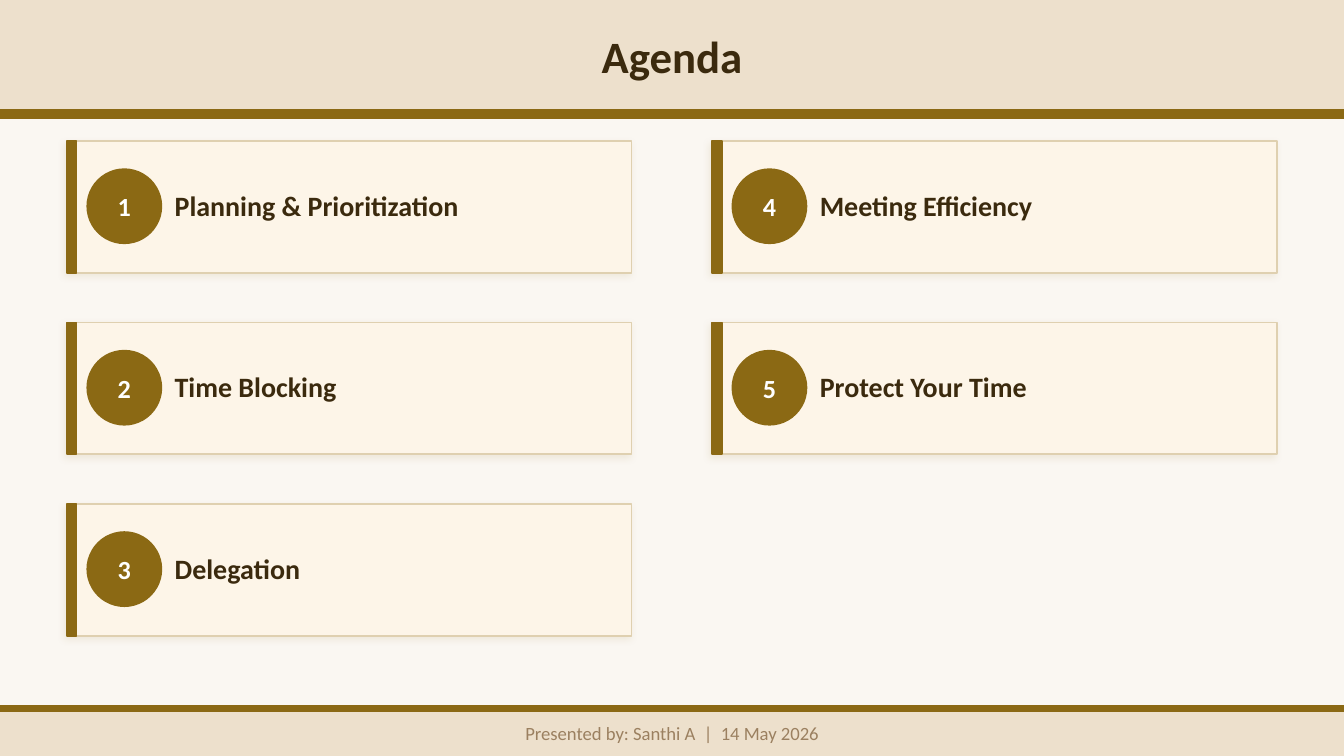
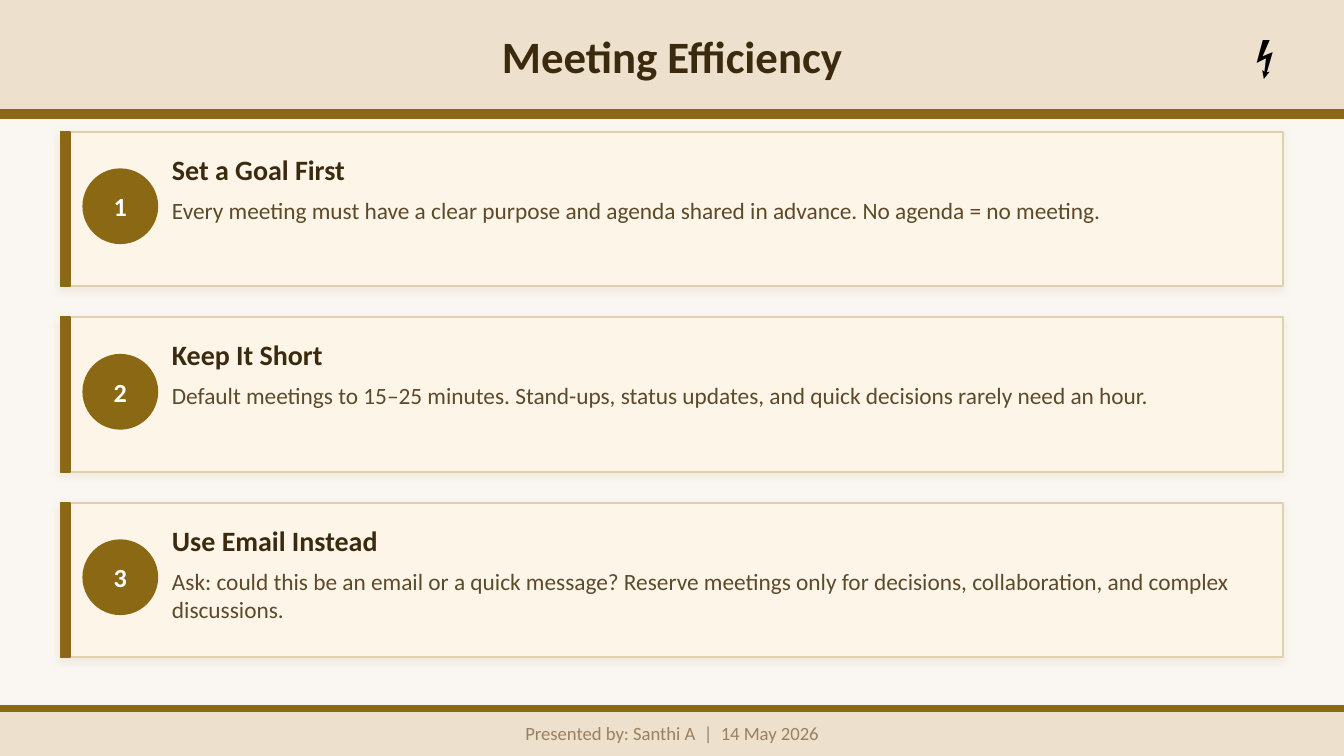
from lxml import etree
from pptx import Presentation
from pptx.dml.color import RGBColor
from pptx.enum.shapes import MSO_SHAPE
from pptx.enum.text import MSO_ANCHOR, MSO_AUTO_SIZE, PP_ALIGN
from pptx.oxml.ns import qn
from pptx.util import Pt

# Shared style, all lengths in points
COLORS = {
    "page": "FAF7F2", "band": "EDE0CC", "accent": "8B6914",
    "card": "FDF5E8", "card_line": "DFD0B0", "heading": "3B2A0E",
    "body": "5C4A2A", "footer": "9B8060", "white": "FFFFFF", "icon": "000000",
}
FONT = "Calibri"
WIDTH, HEIGHT = 720, 405
HEADER_H, FOOTER_TOP = 59.04, 378
STRIPE_W, BADGE = 5.04, 39.6
FOOTER = "Presented by: Santhi A  |  14 May 2026"

AGENDA = ["Planning & Prioritization", "Time Blocking", "Delegation",
          "Meeting Efficiency", "Protect Your Time"]
TIPS = [
    ("Set a Goal First",
     "Every meeting must have a clear purpose and agenda shared in advance. "
     "No agenda = no meeting."),
    ("Keep It Short",
     "Default meetings to 15–25 minutes. Stand-ups, status updates, and "
     "quick decisions rarely need an hour."),
    ("Use Email Instead",
     "Ask: could this be an email or a quick message? Reserve meetings only "
     "for decisions, collaboration, and complex discussions."),
]


def rgb(name):
    return RGBColor.from_string(COLORS[name])


def write(shape, text, size, color, bold=False, align=PP_ALIGN.LEFT,
          anchor=MSO_ANCHOR.MIDDLE):
    frame = shape.text_frame
    frame.word_wrap = True
    frame.auto_size = MSO_AUTO_SIZE.NONE
    frame.vertical_anchor = anchor
    frame.margin_left = frame.margin_right = 0
    frame.margin_top = frame.margin_bottom = 0
    paragraph = frame.paragraphs[0]
    paragraph.alignment = align
    run = paragraph.add_run()
    run.text = text
    run.font.name, run.font.size, run.font.bold = FONT, Pt(size), bold
    run.font.color.rgb = rgb(color)


def add_text(slide, x, y, w, h, text, size, color, **style):
    box = slide.shapes.add_textbox(Pt(x), Pt(y), Pt(w), Pt(h))
    write(box, text, size, color, **style)


def add_block(slide, x, y, w, h, fill, line=None, kind=MSO_SHAPE.RECTANGLE):
    shape = slide.shapes.add_shape(kind, Pt(x), Pt(y), Pt(w), Pt(h))
    shape.shadow.inherit = False
    shape.fill.solid()
    shape.fill.fore_color.rgb = rgb(fill)
    shape.line.color.rgb = rgb(line or fill)
    shape.line.width = Pt(1)
    return shape


def add_soft_shadow(shape):
    effects = shape.element.spPr.find(qn("a:effectLst"))
    shadow = etree.SubElement(
        effects, qn("a:outerShdw"), blurRad=str(Pt(4)), dist=str(Pt(2)),
        dir=str(135 * 60000), algn="bl", rotWithShape="0")
    color = etree.SubElement(shadow, qn("a:srgbClr"), val=COLORS["accent"])
    etree.SubElement(color, qn("a:alpha"), val="10000")


def add_card(slide, x, y, w, h):
    add_soft_shadow(add_block(slide, x, y, w, h, "card", "card_line"))
    add_block(slide, x, y, STRIPE_W, h, "accent")


def add_badge(slide, x, y, number):
    badge = add_block(slide, x, y, BADGE, BADGE, "accent", kind=MSO_SHAPE.OVAL)
    write(badge, str(number), 14, "white", bold=True, align=PP_ALIGN.CENTER)


def add_page(prs, title_text):
    slide = prs.slides.add_slide(prs.slide_layouts[5])
    slide.background.fill.solid()
    slide.background.fill.fore_color.rgb = rgb("page")

    # Header band, with the title placeholder raised above it
    add_block(slide, 0, 0, WIDTH, HEADER_H, "band")
    add_block(slide, 0, HEADER_H, WIDTH, 4.32, "accent")
    title = slide.shapes.title
    title.left, title.top = Pt(36), Pt(0)
    title.width, title.height = Pt(WIDTH - 72), Pt(HEADER_H)
    write(title, title_text, 24, "heading", bold=True, align=PP_ALIGN.CENTER)
    title.element.getparent().append(title.element)

    # Footer band
    add_block(slide, 0, FOOTER_TOP, WIDTH, HEIGHT - FOOTER_TOP, "band")
    add_block(slide, 0, FOOTER_TOP, WIDTH, 2.88, "accent")
    add_text(slide, 0, 380.88, WIDTH, 23.76, FOOTER, 10, "footer",
             align=PP_ALIGN.CENTER)
    return slide


def build_agenda(prs):
    slide = add_page(prs, "Agenda")
    rows = 3
    for i, topic in enumerate(AGENDA):
        column, row = divmod(i, rows)
        x, y = 36 + column * 345.6, 75.6 + row * 97.2
        add_card(slide, x, y, 302.4, 70.56)
        add_badge(slide, x + 10.8, y + 15.12, i + 1)
        add_text(slide, x + 57.6, y + 14.4, 237.6, BADGE, topic, 15,
                 "heading", bold=True)


def build_meetings(prs):
    slide = add_page(prs, "Meeting Efficiency")
    add_text(slide, 655.2, 7.2, 44.64, 44.64, "⚡", 22, "icon",
             align=PP_ALIGN.CENTER)
    x = 32.4
    for i, (heading, advice) in enumerate(TIPS):
        y = 70.56 + i * 99.36
        add_card(slide, x, y, 655.2, 82.8)
        add_badge(slide, x + 12.24, y + 20.16, i + 1)
        add_text(slide, x + 59.76, y + 7.2, 576, 25.92, heading, 15,
                 "heading", bold=True)
        add_text(slide, x + 59.76, y + 34.56, 576, 40.32, advice, 12.5,
                 "body", anchor=MSO_ANCHOR.TOP)


def main():
    prs = Presentation()
    prs.slide_width, prs.slide_height = Pt(WIDTH), Pt(HEIGHT)
    build_agenda(prs)
    build_meetings(prs)
    prs.save("out.pptx")


main()
